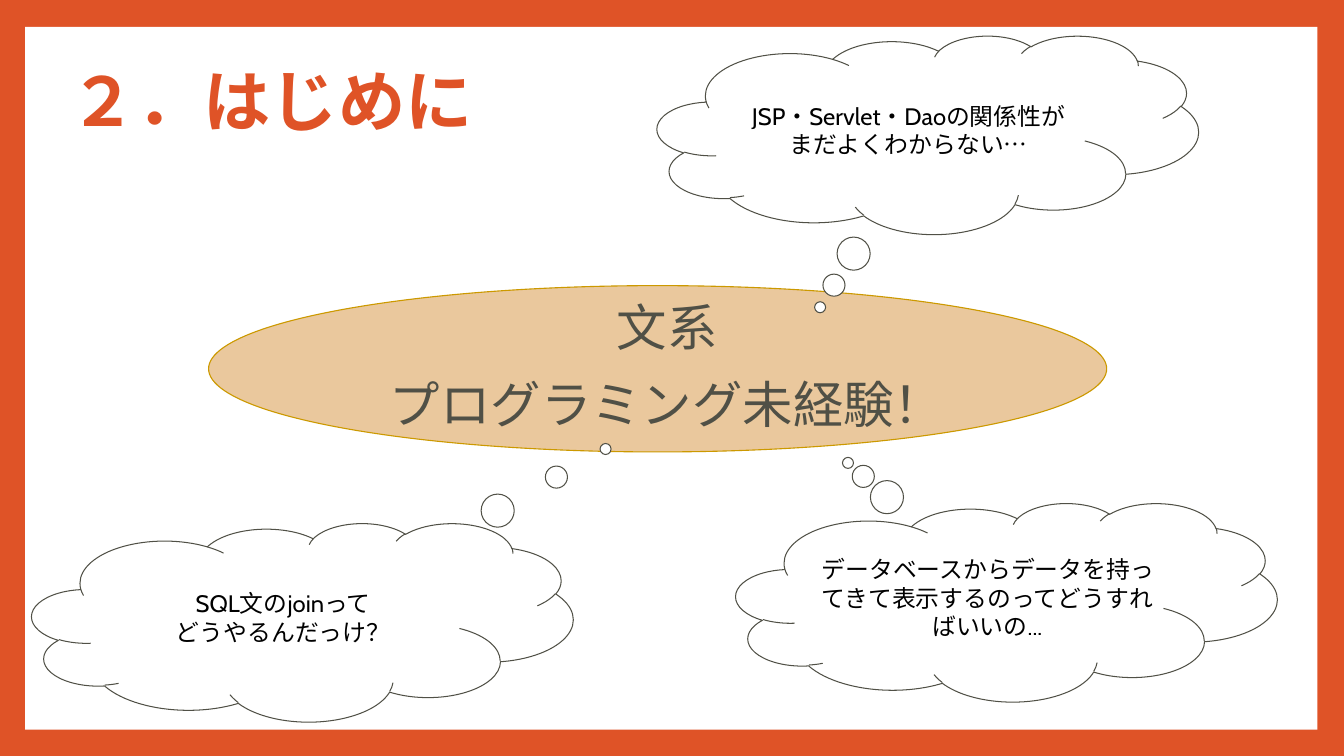
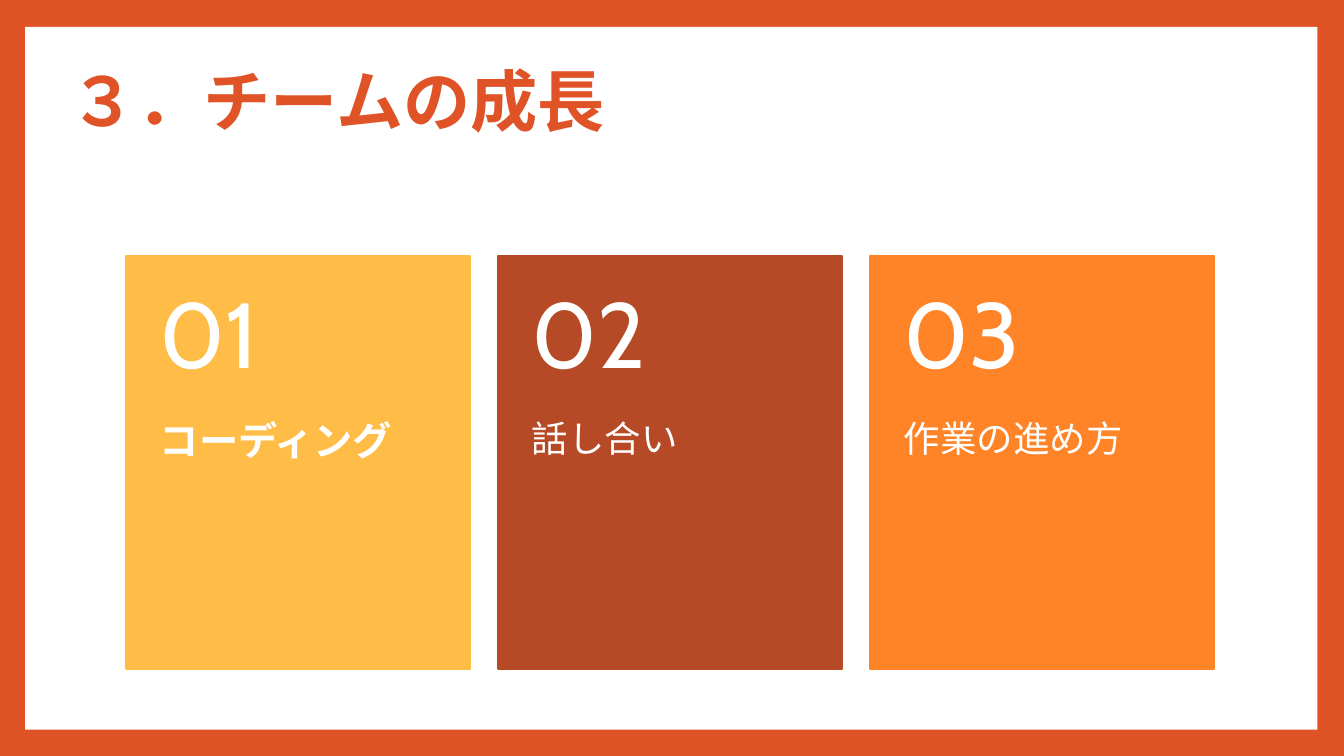
"""Build two framed slides: a thought-cloud scene and three numbered cards."""
from dataclasses import dataclass

from lxml.etree import SubElement
from pptx import Presentation
from pptx.dml.color import RGBColor as Rgb
from pptx.enum.shapes import MSO_SHAPE as Kind
from pptx.enum.text import MSO_ANCHOR as Anchor, PP_ALIGN as Align
from pptx.oxml.ns import qn
from pptx.util import Pt


@dataclass(frozen=True)
class Theme:
    """Hold the colours, fonts and type sizes of the deck."""
    frame: str = "DF5327"
    white: str = "FFFFFF"
    black: str = "000000"
    gray: str = "505046"
    sand: str = "EAC89D"
    gold: str = "CC9900"
    cards: tuple = ("FFBD47", "B64926", "FF8427")
    latin: str = "Cabin"
    open: str = "Open Sans"
    asian: str = "Noto Sans CJK JP"
    title: int = 48
    main: int = 36
    cloud: int = 17
    number: int = 66


THEME = Theme()


def shape(slide, kind, box, fill, line=None, width=0.75):
    """Add a flat preset shape with an optional outline."""
    item = slide.shapes.add_shape(kind, *map(Pt, box))
    item.shadow.inherit = False
    item.fill.solid()
    item.fill.fore_color.rgb = Rgb.from_string(fill)
    if line:
        item.line.color.rgb = Rgb.from_string(line)
        item.line.width = Pt(width)
    else:
        item.line.fill.background()
    return item


def write(item, text, size, color, font=THEME.latin, bold=False,
          align=Align.LEFT, anchor=Anchor.TOP, inset=(7.2, 7.2, 7.2, 7.2), space=1):
    """Fill a shape with text in one style and return its text frame."""
    frame = item.text_frame
    frame.text = text
    frame.word_wrap = True
    frame.vertical_anchor = anchor
    (frame.margin_left, frame.margin_top,
     frame.margin_right, frame.margin_bottom) = map(Pt, inset)
    for para in frame.paragraphs:
        para.alignment = align
        para.line_spacing = space
        for run in para.runs:
            run.font.size = Pt(size)
            run.font.bold = bold
            run.font.color.rgb = Rgb.from_string(color)
            run.font.name = font
            SubElement(run.font._element, qn("a:ea"), typeface=THEME.asian)
    return frame


def label(slide, box, text, size, color, **style):
    """Add a text box in one style."""
    write(slide.shapes.add_textbox(*map(Pt, box)), text, size, color, **style)


def page(deck, title):
    """Add a slide with the white panel and its title."""
    slide = deck.slides.add_slide(deck.slide_layouts[6])
    shape(slide, Kind.RECTANGLE, (18, 19.2, 923, 502), THEME.white)
    label(slide, (42.5, 39, 894, 74), title, THEME.title, THEME.frame,
          font=THEME.asian, bold=True, inset=(7.2, 3.6, 7.2, 3.6))
    return slide


def oval(slide, text):
    """Add the central ellipse with its two-line statement."""
    item = shape(slide, Kind.OVAL, (149, 204, 641.5, 118.8),
                 THEME.sand, THEME.gold, 0.79)
    frame = write(item, text, THEME.main, THEME.gray, font=THEME.open,
                  align=Align.CENTER, anchor=Anchor.MIDDLE, space=0.9)
    for para in frame.paragraphs:
        props = para._p.get_or_add_pPr()
        props.set("marL", str(Pt(18)))
        props.set("indent", str(Pt(-4.5)))
    last = frame.paragraphs[-1]
    last.space_before = last.space_after = Pt(16)


def cloud(slide, left, top, tail, text):
    """Add a thought cloud whose bubbles lead towards the tail."""
    item = shape(slide, Kind.CLOUD_CALLOUT, (left, top, 386.6, 141.8),
                 THEME.white, THEME.gray)
    item.adjustments[0], item.adjustments[1] = tail
    write(item, text, THEME.cloud, THEME.black,
          align=Align.CENTER, anchor=Anchor.MIDDLE)


def card(slide, index, text, size, bold):
    """Add a coloured card with its number and caption."""
    left, top, width, head, body = 90 + index * 265.7, 183, 246, 118, 177
    fill = THEME.cards[index]
    shape(slide, Kind.RECTANGLE, (left, top, width, head + body), fill, fill, 1.5)
    label(slide, (left, top + head, width, body), text, size, THEME.white,
          bold=bold, inset=(24.3, 0, 24.3, 26), space=0.9)
    label(slide, (left, top, width, head), f"{index + 1:02}", THEME.number,
          THEME.white, anchor=Anchor.MIDDLE, inset=(24.3, 13, 24.3, 13), space=0.9)


def main():
    """Build and save the deck."""
    deck = Presentation()
    deck.slide_width, deck.slide_height = Pt(960), Pt(540)
    back = deck.slide_master.background.fill
    back.solid()
    back.fore_color.rgb = Rgb.from_string(THEME.frame)

    intro = page(deck, "２．はじめに")
    oval(intro, "文系\nプログラミング未経験！")
    clouds = (
        (469.5, 25.4, (-0.199, 0.869), "JSP・Servlet・Daoの関係性が\nまだよくわからない…"),
        (22.8, 373.6, (0.56, -0.873), "SQL文のjoinって\nどうやるんだっけ？"),
        (525.7, 359.3, (-0.293, -0.702),
         "データベースからデータを持ってきて表示するのってどうすればいいの..."),
    )
    for spot in clouds:
        cloud(intro, *spot)

    growth = page(deck, "３．チームの成長")
    topics = (("コーディング", 28, True), ("話し合い", 26, False),
              ("作業の進め方", 26, False))
    for index, topic in enumerate(topics):
        card(growth, index, *topic)

    deck.save("out.pptx")


if __name__ == "__main__":
    main()
